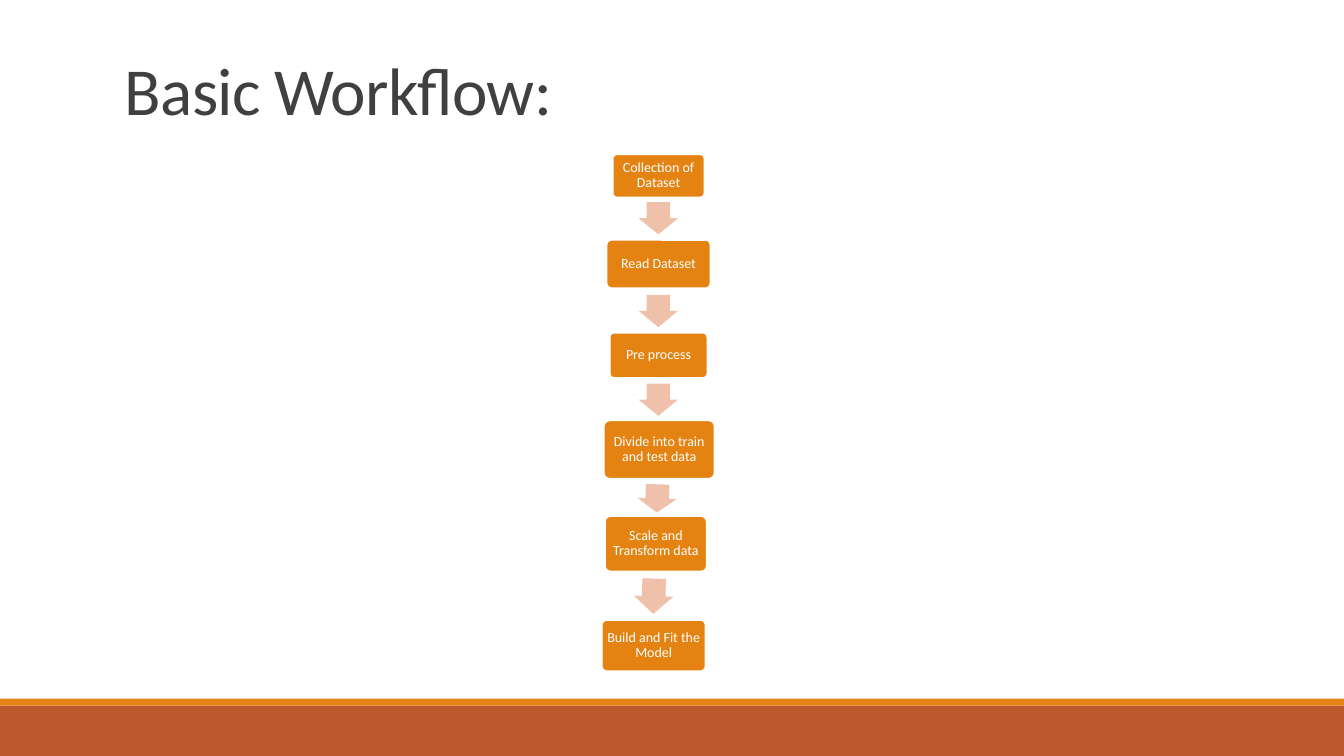
"""Build the Basic Workflow slide."""
from typing import NamedTuple

from pptx import Presentation
from pptx.dml.color import RGBColor
from pptx.enum.shapes import MSO_SHAPE
from pptx.enum.text import MSO_ANCHOR, PP_ALIGN
from pptx.shapes.autoshape import Shape
from pptx.slide import Slide
from pptx.text.text import TextFrame
from pptx.util import Inches, Pt

RECTANGLE = MSO_SHAPE.RECTANGLE
ROUNDED = MSO_SHAPE.ROUNDED_RECTANGLE
RIGHT_ARROW = MSO_SHAPE.RIGHT_ARROW
MIDDLE, BOTTOM = MSO_ANCHOR.MIDDLE, MSO_ANCHOR.BOTTOM
CENTER, LEFT = PP_ALIGN.CENTER, PP_ALIGN.LEFT

WHITE = RGBColor(0xFF, 0xFF, 0xFF)
CHARCOAL = RGBColor(0x40, 0x40, 0x40)
ORANGE = RGBColor(0xE4, 0x83, 0x12)
RUST = RGBColor(0xBD, 0x58, 0x2C)
PEACH = RGBColor(0xEF, 0xC1, 0xAB)

FONT = "Calibri"
SLIDE_WIDTH, SLIDE_HEIGHT = Inches(13.333), Inches(7.5)
COLUMN, ROW = SLIDE_WIDTH / 100, SLIDE_HEIGHT / 100
ARROW_BREADTH = 5.2


class Band(NamedTuple):
    """A full-width footer band, in rows."""
    top: float
    height: float
    color: RGBColor


class Step(NamedTuple):
    """A workflow box, in columns and rows."""
    text: str
    center: float
    top: float
    width: float
    height: float


class Arrow(NamedTuple):
    """An arrow between steps: center in columns and rows, length in rows."""
    center: float
    middle: float
    length: float
    rotation: float


BANDS = (Band(93.33, 6.67, RUST), Band(92.4, 0.93, ORANGE))

STEPS = (
    Step("Collection of Dataset", 49, 20.4, 6.83, 5.73),
    Step("Read Dataset", 49, 31.73, 7.73, 6.4),
    Step("Pre process", 49, 44, 7.28, 6),
    Step("Divide into train and test data", 49.05, 55.6, 8.25, 7.73),
    Step("Scale and Transform data", 48.8, 68.27, 7.58, 7.33),
    Step("Build and Fit the Model", 48.64, 82, 7.73, 6.8),
)

ARROWS = (
    Arrow(48.98, 28.87, 4.27, 90),
    Arrow(48.98, 41.13, 4.27, 90),
    Arrow(48.98, 52.87, 4.27, 90),
    Arrow(48.9, 65.93, 3.73, 91.8),
    Arrow(48.64, 78.87, 4.67, 91.5),
)


def add_block(slide: Slide, kind: MSO_SHAPE, left: float, top: float,
              width: float, height: float, color: RGBColor) -> Shape:
    """Add a flat shape without outline, placed in EMU."""
    shape = slide.shapes.add_shape(
        kind, round(left), round(top), round(width), round(height))
    shape.shadow.inherit = False
    shape.fill.solid()
    shape.fill.fore_color.rgb = color
    shape.line.fill.background()
    return shape


def write_text(frame: TextFrame, text: str, size: float, color: RGBColor,
               alignment: PP_ALIGN, anchor: MSO_ANCHOR, spacing: float):
    """Write one paragraph and return its run."""
    frame.word_wrap = True
    frame.vertical_anchor = anchor
    paragraph = frame.paragraphs[0]
    paragraph.alignment = alignment
    paragraph.line_spacing = spacing
    run = paragraph.add_run()
    run.text = text
    run.font.name = FONT
    run.font.size = Pt(size)
    run.font.color.rgb = color
    return run


def add_title(slide: Slide, text: str) -> None:
    """Add the slide title."""
    box = slide.shapes.add_textbox(
        round(8.55 * COLUMN), round(-0.27 * ROW),
        round(76.8 * COLUMN), round(18 * ROW))
    run = write_text(box.text_frame, text, 48, CHARCOAL, LEFT, BOTTOM, 0.85)
    run.font._element.set("spc", "-50")


def add_step(slide: Slide, step: Step) -> None:
    """Add a rounded workflow box with its label."""
    shape = add_block(
        slide, ROUNDED, (step.center - step.width / 2) * COLUMN,
        step.top * ROW, step.width * COLUMN, step.height * ROW, ORANGE)
    shape.adjustments[0] = 0.1
    shape.line.color.rgb = WHITE
    shape.line.width = Pt(1.25)
    frame = shape.text_frame
    frame.margin_left = frame.margin_right = Inches(0.04)
    frame.margin_top = frame.margin_bottom = Inches(0.04)
    write_text(frame, step.text, 10, WHITE, CENTER, MIDDLE, 0.9)


def add_arrow(slide: Slide, arrow: Arrow) -> None:
    """Add a block arrow turned to point down."""
    length, breadth = arrow.length * ROW, ARROW_BREADTH * ROW
    shape = add_block(
        slide, RIGHT_ARROW, arrow.center * COLUMN - length / 2,
        arrow.middle * ROW - breadth / 2, length, breadth, PEACH)
    shape.adjustments[0] = 0.6
    shape.adjustments[1] = 0.5
    shape.rotation = arrow.rotation


def main() -> None:
    """Build and save the presentation."""
    presentation = Presentation()
    presentation.slide_width = SLIDE_WIDTH
    presentation.slide_height = SLIDE_HEIGHT
    slide = presentation.slides.add_slide(presentation.slide_layouts[6])
    for band in BANDS:
        add_block(slide, RECTANGLE, 0, band.top * ROW, SLIDE_WIDTH,
                  band.height * ROW, band.color)
    add_title(slide, "Basic Workflow:")
    for step in STEPS:
        add_step(slide, step)
    for arrow in ARROWS:
        add_arrow(slide, arrow)
    presentation.save("out.pptx")


if __name__ == "__main__":
    main()
